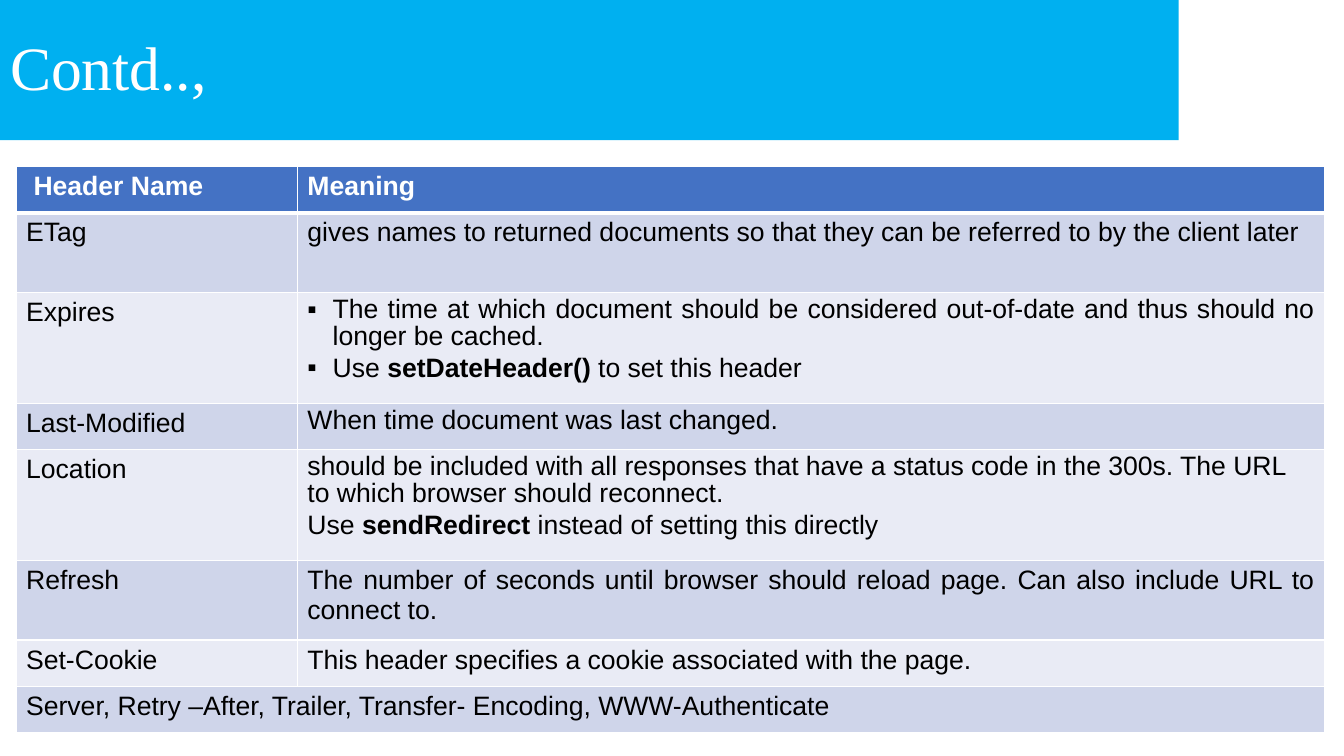
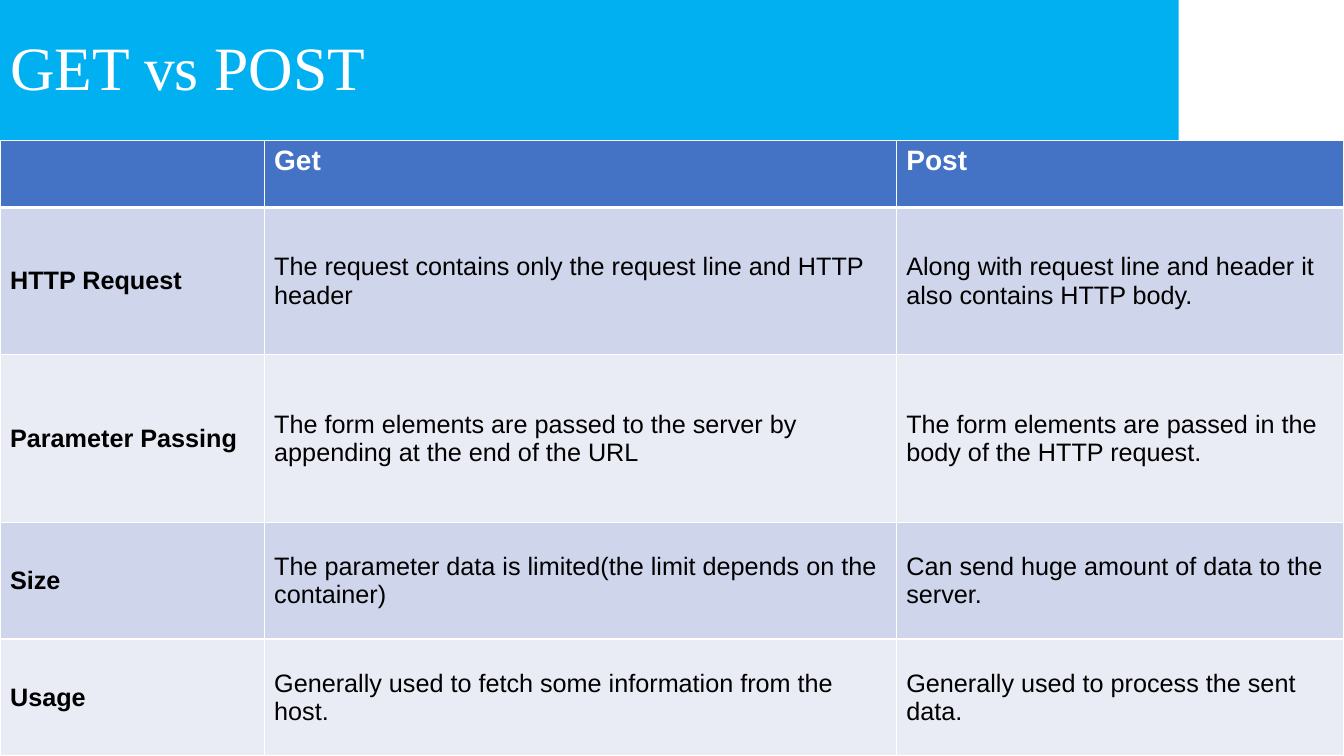
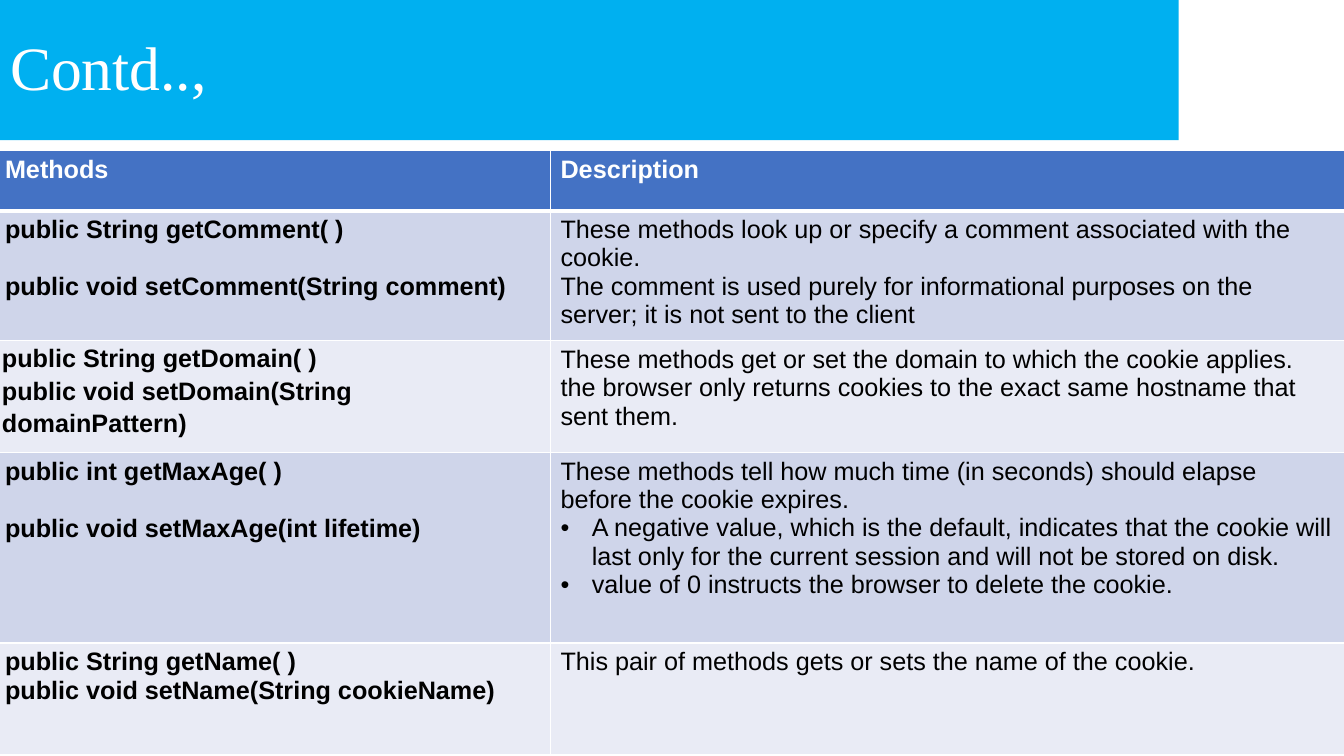
from dataclasses import dataclass
from pptx import Presentation
from pptx.dml.color import RGBColor
from pptx.enum.text import MSO_ANCHOR as Anchor, MSO_AUTO_SIZE as AutoSize, PP_ALIGN as Align
from pptx.oxml.ns import qn
from pptx.util import Inches, Pt
from lxml.etree import SubElement


@dataclass(frozen=True)
class Theme:
    band: str = "00B0F0"
    header: str = "4472C4"
    stripes: tuple = ("CFD5EA", "E9EBF5")
    light: str = "FFFFFF"
    dark: str = "000000"
    title_font: str = "Times New Roman"
    body_font: str = "Arial"
    title_size: int = 44
    grid_line: int = 1
    header_line: int = 3


THEME = Theme()


# Content: a cell is a text, a paragraph or a list of them; ** marks bold
def para(text, **style):
    return {"text": text, **style}


def tight(text, **style):
    return para(text, line=0.9, **style)


SQUARE = {"bullet": "▪", "indent": 0.25, "align": Align.JUSTIFY}
ROUND = {"bullet": "•", "indent": 0.31}
SETTER_GAP = 20.7   # one empty line between getter and setter
ITEM_GAP = 3.8

SLIDES = [
    {
        "title": "Contd..,",
        "at": (0.16, 1.65), "size": 19, "header_size": 19,
        "columns": [2.79, 10.19],
        "heights": [0.46, 0.79, 1.1, 0.46, 1.1, 0.79, 0.46, 0.46],
        "rows": [
            [" Header Name", "Meaning"],
            ["ETag", para("gives names to returned documents so that they can be referred to "
                          "by the client later", align=Align.JUSTIFY)],
            ["Expires", [
                tight("The time at which document should be considered out-of-date and thus "
                      "should no longer be cached.", **SQUARE),
                tight("Use **setDateHeader()** to set this header", before=ITEM_GAP, **SQUARE)]],
            ["Last-Modified", tight("When time document was last changed.")],
            ["Location", [
                tight("should be included with all responses that have a status code in the "
                      "300s. The URL to which browser should reconnect."),
                tight("Use **sendRedirect** instead of setting this directly",
                      before=ITEM_GAP)]],
            ["Refresh", para("The number of seconds until browser should reload page. Can also "
                             "include URL to connect to.", align=Align.JUSTIFY)],
            ["Set-Cookie", "This header specifies a cookie associated with the page."],
            ["Server, Retry –After, Trailer, Transfer- Encoding, WWW-Authenticate"],
        ],
    },
    {
        "title": "GET vs POST",
        "at": (0, 1.39), "size": 18, "header_size": 20,
        "bold_first": True, "anchor": Anchor.MIDDLE,
        "columns": [2.62, 6.27, 4.44],
        "heights": [0.67, 1.46, 1.66, 1.16, 1.16],
        "rows": [
            ["", "Get", "Post"],
            ["HTTP Request",
             "The request contains only the request line and HTTP header",
             "Along with request line and header it also contains HTTP body."],
            ["Parameter Passing",
             "The form elements are passed to the server by appending at the end of the URL",
             "The form elements are passed in the body of the HTTP request."],
            ["Size",
             "The parameter data is limited(the limit depends on the container)",
             "Can send huge amount of data to the server."],
            ["Usage",
             "Generally used to fetch some information from the host.",
             "Generally used to process the sent data."],
        ],
    },
    {
        "title": "Contd..,",
        "at": (-0.05, 1.49), "size": 18, "header_size": 18,
        "bold_first": True,
        "columns": [5.51, 7.88],
        "heights": [0.6, 1.29, 1.11, 1.89, 1.11],
        "margins": {(2, 0): (0.07, 0)},
        "rows": [
            ["Methods", "Description"],
            [["public String getComment( )",
              para("public void setComment(String comment)", before=SETTER_GAP)],
             ["These methods look up or specify a comment associated with the cookie.",
              "The comment is used purely for informational purposes on the server; "
              "it is not sent to the client"]],
            [[para("public String getDomain( )", line=1.15),
              para("public void setDomain(String domainPattern)", line=1.15)],
             "These methods get or set the domain to which the cookie applies. the browser "
             "only returns cookies to the exact same hostname that sent them."],
            [["public int getMaxAge( )",
              para("public void setMaxAge(int lifetime)", before=SETTER_GAP)],
             ["These methods tell how much time (in seconds) should elapse before the "
              "cookie expires.",
              para("A negative value, which is the default, indicates that the cookie will "
                   "last only for the current session and will not be stored on disk.", **ROUND),
              para("value of 0 instructs the browser to delete the cookie.", **ROUND)]],
            [["public String getName( )", "public void setName(String cookieName)"],
             "This pair of methods gets or sets the name of the cookie."],
        ],
    },
]


# Text
def format_run(run, font, size, color, bold=False):
    run.font.name = font
    run.font.size = Pt(size)
    run.font.bold = bold
    run.font.color.rgb = RGBColor.from_string(color)


def add_bullet(paragraph, character, indent):
    properties = paragraph._p.get_or_add_pPr()
    properties.set("marL", str(Inches(indent)))
    properties.set("indent", str(-Inches(indent)))
    SubElement(properties, qn("a:buFont"), typeface=THEME.body_font)
    SubElement(properties, qn("a:buChar"), char=character)


def write_cell(cell, content, size, color, bold):
    items = content if isinstance(content, list) else [content]
    frame = cell.text_frame
    for index, item in enumerate(items):
        style = para(item) if isinstance(item, str) else item
        paragraph = frame.add_paragraph() if index else frame.paragraphs[0]
        if "bullet" in style:
            add_bullet(paragraph, style["bullet"], style["indent"])
        paragraph.alignment = style.get("align", Align.LEFT)
        paragraph.line_spacing = style.get("line", 1.0)
        if "before" in style:
            paragraph.space_before = Pt(style["before"])
        for part, text in enumerate(style["text"].split("**")):
            if text:
                run = paragraph.add_run()
                run.text = text
                format_run(run, THEME.body_font, size, color, bold or part % 2 == 1)


# Parts
def add_title(slide, text):
    title = slide.shapes.title
    title.left, title.top, title.width, title.height = (
        Inches(value) for value in (0, 0, 11.69, 1.39))
    title.fill.solid()
    title.fill.fore_color.rgb = RGBColor.from_string(THEME.band)
    frame = title.text_frame
    frame.text = text
    frame.auto_size = AutoSize.NONE
    frame.vertical_anchor = Anchor.MIDDLE
    paragraph = frame.paragraphs[0]
    paragraph.alignment = Align.LEFT
    paragraph.line_spacing = 0.9
    format_run(paragraph.runs[0], THEME.title_font, THEME.title_size, THEME.light)


def paint_cell(cell, row):
    properties = cell._tc.get_or_add_tcPr()
    thick_side = {0: "lnB", 1: "lnT"}.get(row)
    for side in ("lnL", "lnR", "lnT", "lnB"):
        width = THEME.header_line if side == thick_side else THEME.grid_line
        line = SubElement(properties, qn(f"a:{side}"), w=str(Pt(width)))
        SubElement(SubElement(line, qn("a:solidFill")), qn("a:srgbClr"), val=THEME.light)
    color = THEME.stripes[(row - 1) % 2] if row else THEME.header
    cell.fill.solid()
    cell.fill.fore_color.rgb = RGBColor.from_string(color)


def add_grid(slide, spec):
    columns, heights, rows = spec["columns"], spec["heights"], spec["rows"]
    left, top = spec["at"]
    table = slide.shapes.add_table(
        len(rows), len(columns), Inches(left), Inches(top),
        Inches(sum(columns)), Inches(sum(heights))).table
    for column, width in zip(table.columns, columns):
        column.width = Inches(width)
    for row, height in zip(table.rows, heights):
        row.height = Inches(height)

    for r, contents in enumerate(rows):
        for c in range(len(columns)):
            cell = table.cell(r, c)
            paint_cell(cell, r)
            side, edge = spec.get("margins", {}).get((r, c), (0.1, 0.05))
            cell.margin_left = cell.margin_right = Inches(side)
            cell.margin_top = cell.margin_bottom = Inches(edge)
            cell.vertical_anchor = spec.get("anchor", Anchor.TOP) if r else Anchor.TOP
        if len(contents) < len(columns):
            table.cell(r, 0).merge(table.cell(r, len(columns) - 1))
        for c, content in enumerate(contents):
            write_cell(table.cell(r, c), content,
                       spec["size"] if r else spec["header_size"],
                       THEME.dark if r else THEME.light,
                       r == 0 or (c == 0 and spec.get("bold_first", False)))


def main():
    presentation = Presentation()
    presentation.slide_width = Inches(13.33)
    presentation.slide_height = Inches(7.5)
    title_only = presentation.slide_layouts[5]
    for spec in SLIDES:
        slide = presentation.slides.add_slide(title_only)
        add_title(slide, spec["title"])
        add_grid(slide, spec)
    presentation.save("out.pptx")


if __name__ == "__main__":
    main()
